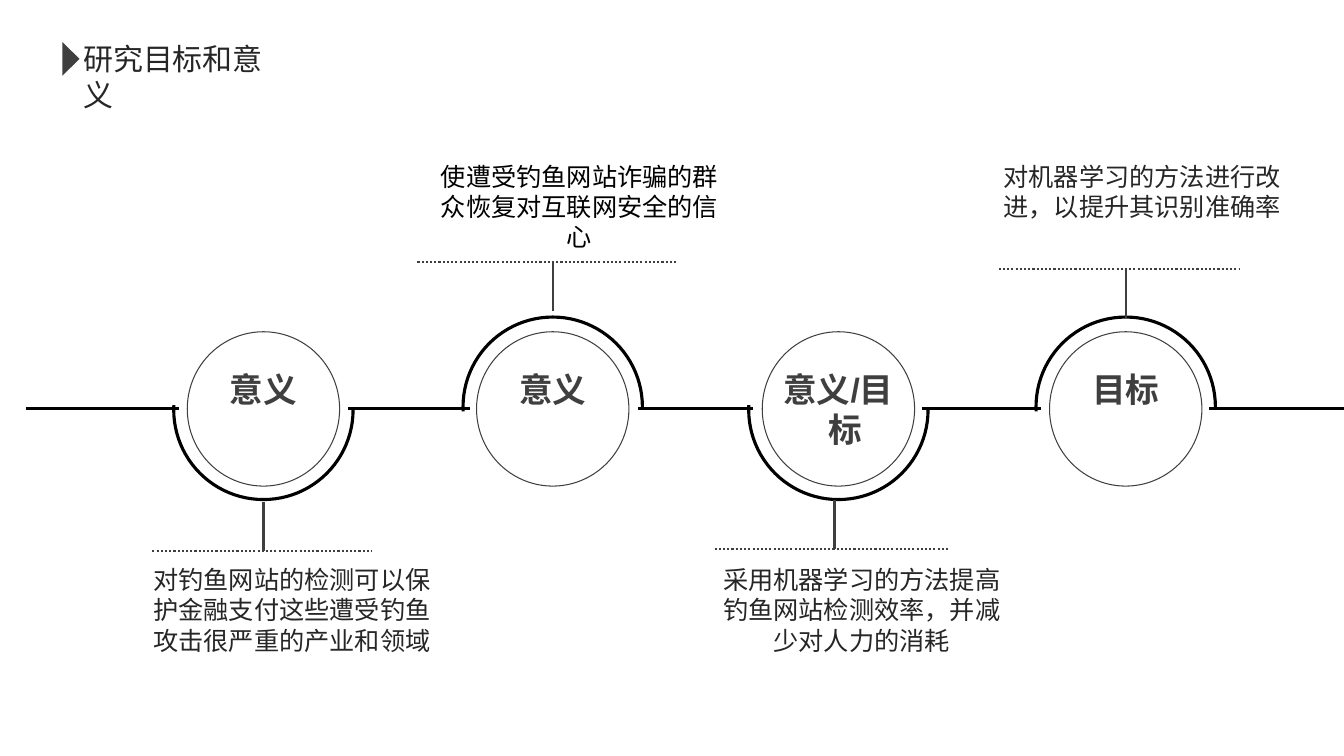
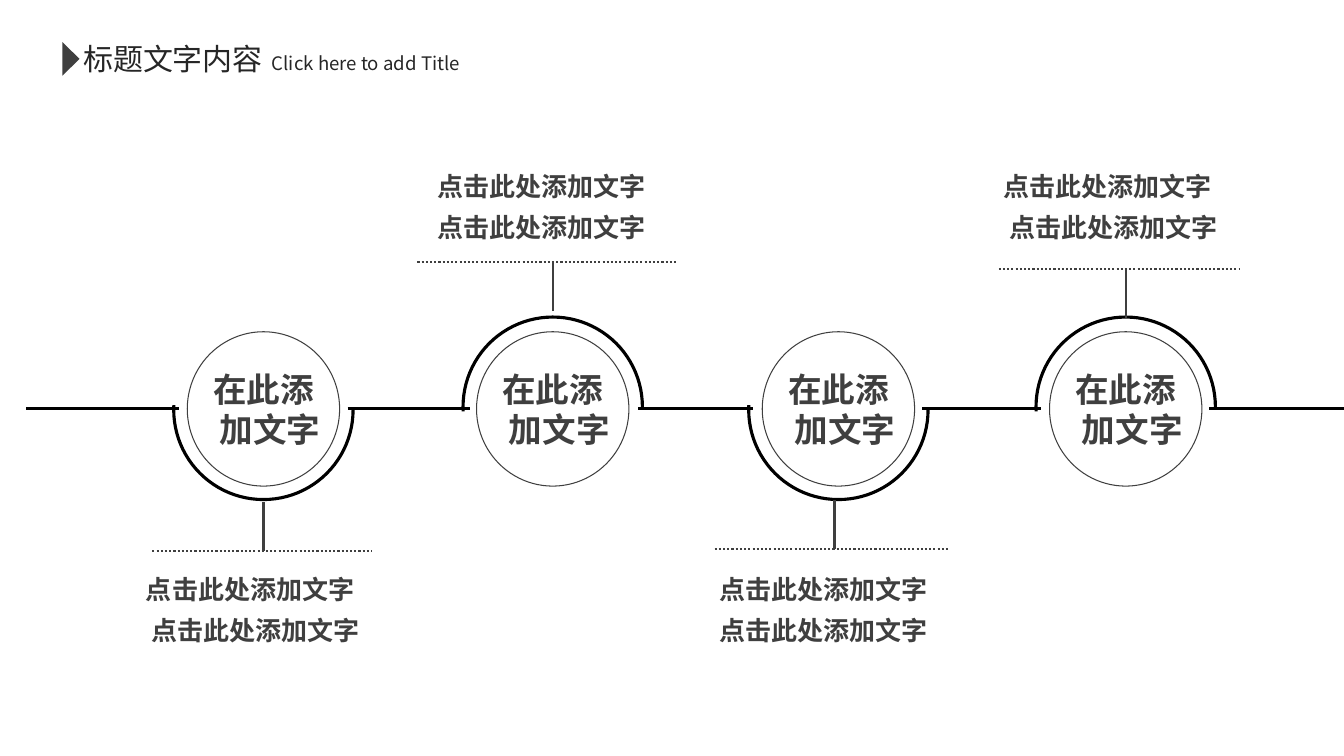
from dataclasses import dataclass

from lxml.etree import SubElement
from pptx import Presentation
from pptx.dml.color import RGBColor
from pptx.enum.dml import MSO_LINE_DASH_STYLE as Dash
from pptx.enum.shapes import MSO_CONNECTOR as Connector, MSO_SHAPE as Preset
from pptx.enum.text import PP_ALIGN as Align
from pptx.oxml.ns import qn
from pptx.slide import Slide
from pptx.util import Cm, Pt


# Theme
@dataclass(frozen=True)
class Theme:
    paper: RGBColor = RGBColor(0xFF, 0xFF, 0xFF)
    black: RGBColor = RGBColor(0, 0, 0)
    dark: RGBColor = RGBColor(0x26, 0x26, 0x26)
    grey: RGBColor = RGBColor(0x3F, 0x3F, 0x3F)
    latin: str = "Arial"
    chinese: str = "Noto Sans CJK SC"
    title_size: float = 21.4
    subtitle_size: float = 13.3
    label_size: float = 24
    caption_size: float = 18
    prompt_size: float = 18.6
    thin: float = 0.75
    medium: float = 1.5
    thick: float = 2.25


THEME = Theme()


# Content records, lengths in centimetres
@dataclass(frozen=True)
class TextStyle:
    size: float
    color: RGBColor
    font: str = THEME.chinese
    bold: bool = False
    align: Align = Align.LEFT
    line_spacing: float = 1.0
    hanging: float = 0


@dataclass(frozen=True)
class Line:
    text: str
    indent: float = 0


@dataclass(frozen=True)
class Node:
    center: float
    upper: bool
    stem: float
    bar_y: float
    bar_left: float
    bar_right: float
    caption_left: float


@dataclass(frozen=True)
class Entry:
    label: str
    caption: tuple[Line, ...]
    style: TextStyle


@dataclass(frozen=True)
class Page:
    title: str
    subtitle: str
    entries: tuple[Entry, ...]


# Timeline geometry
SLIDE_WIDTH, SLIDE_HEIGHT = 33.87, 19.05
RAIL_Y = 10.29
RAILS = ((0.66, 4.5), (8.76, 11.84), (16.08, 18.97), (23.24, 26.24), (30.48, 33.86))
NODES = (
    Node(6.64, False, 6.64, 13.89, 3.84, 9.37, 3.43),
    Node(13.93, True, 13.93, 6.6, 10.52, 17.07, 10.77),
    Node(21.13, False, 21.03, 13.84, 18.01, 23.9, 17.88),
    Node(28.37, True, 28.37, 6.78, 25.17, 31.22, 25.04),
)
CIRCLE_WIDTH, CIRCLE_HEIGHT, CIRCLE_TOP = 3.84, 3.89, 8.36
ARC_RADIUS, ARC_SHIFT, STEM = 2.26, 0.04, 1.24
LABEL_WIDTH, LABEL_TOP = 3.86, 9.17
CAPTION_WIDTH, UPPER_CAPTION, LOWER_CAPTION = 7.67, 3.94, 14.1
ARC_UNITS_PER_DEGREE = 0.6

# Text styles
TITLE = TextStyle(THEME.title_size, THEME.dark)
SUBTITLE = TextStyle(THEME.subtitle_size, THEME.dark)
LABEL = TextStyle(THEME.label_size, THEME.grey, THEME.latin, True, Align.CENTER, hanging=0.33)
PROMPT = TextStyle(THEME.prompt_size, THEME.grey, THEME.latin, True, line_spacing=1.3)


def caption_style(align: Align, color: RGBColor = THEME.dark,
                  font: str = THEME.chinese) -> TextStyle:
    return TextStyle(THEME.caption_size, color, font, align=align)


def prompt_entry(second_indent: float = 0) -> Entry:
    prompt = "点击此处添加文字"
    return Entry("在此添加文字", (Line(prompt), Line(prompt, second_indent)), PROMPT)


PAGES = (
    Page("研究目标和意义", "", (
        Entry("意义", (Line("对钓鱼网站的检测可以保护金融支付这些遭受钓鱼攻击很严重的产业和领域"),),
              caption_style(Align.RIGHT)),
        Entry("意义", (Line("使遭受钓鱼网站诈骗的群众恢复对互联网安全的信心"),),
              caption_style(Align.CENTER, THEME.black, THEME.latin)),
        Entry("意义/目标", (Line("采用机器学习的方法提高钓鱼网站检测效率，并减少对人力的消耗"),),
              caption_style(Align.CENTER)),
        Entry("目标", (Line("对机器学习的方法进行改进，以提升其识别准确率"),),
              caption_style(Align.LEFT)),
    )),
    Page("标题文字内容", "Click here to add Title",
         (prompt_entry(0.14), prompt_entry(), prompt_entry(), prompt_entry(0.14))),
)


# Drawing helpers
def add_text(slide: Slide, left: float, top: float, width: float, height: float,
             lines: tuple[Line, ...], style: TextStyle, wrap: bool = True) -> None:
    box = slide.shapes.add_textbox(Cm(left), Cm(top), Cm(width), Cm(height))
    frame = box.text_frame
    frame.word_wrap = wrap
    for index, line in enumerate(lines):
        paragraph = frame.paragraphs[0] if index == 0 else frame.add_paragraph()
        paragraph.alignment = style.align
        paragraph.line_spacing = style.line_spacing
        properties = paragraph._p.get_or_add_pPr()
        properties.set("marL", str(Cm(style.hanging + line.indent)))
        properties.set("indent", str(Cm(-style.hanging)))
        run = paragraph.add_run()
        run.text = line.text
        run.font.name = style.font
        run.font.size = Pt(style.size)
        run.font.bold = style.bold
        run.font.color.rgb = style.color
        east_asian = SubElement(run._r.get_or_add_rPr(), qn("a:ea"))
        east_asian.set("typeface", THEME.chinese)


def add_line(slide: Slide, start: tuple[float, float], end: tuple[float, float],
             color: RGBColor, weight: float, dotted: bool = False) -> None:
    connector = slide.shapes.add_connector(
        Connector.STRAIGHT, Cm(start[0]), Cm(start[1]), Cm(end[0]), Cm(end[1]))
    connector.line.color.rgb = color
    connector.line.width = Pt(weight)
    if dotted:
        connector.line.dash_style = Dash.ROUND_DOT
    SubElement(connector._element.spPr, qn("a:effectLst"))


def add_outline(slide: Slide, preset: Preset, center: tuple[float, float],
                size: tuple[float, float], color: RGBColor, weight: float,
                angles: tuple[float, ...] = ()) -> None:
    shape = slide.shapes.add_shape(
        preset, Cm(center[0] - size[0] / 2), Cm(center[1] - size[1] / 2),
        Cm(size[0]), Cm(size[1]))
    shape.shadow.inherit = False
    shape.fill.background()
    shape.line.color.rgb = color
    shape.line.width = Pt(weight)
    for index, angle in enumerate(angles):
        shape.adjustments[index] = angle * ARC_UNITS_PER_DEGREE


# Slide parts
def add_header(slide: Slide, page: Page) -> None:
    add_text(slide, 1.85, 0.89, 5.08, 1.15, (Line(page.title),), TITLE)
    marker = slide.shapes.add_shape(
        Preset.ISOSCELES_TRIANGLE, Cm(1.37), Cm(1.27), Cm(0.84), Cm(0.43))
    marker.rotation = 90
    marker.shadow.inherit = False
    marker.fill.solid()
    marker.fill.fore_color.rgb = THEME.grey
    marker.line.fill.background()
    if page.subtitle:
        add_text(slide, 6.6, 1.19, 5.6, 0.84, (Line(page.subtitle),), SUBTITLE, wrap=False)


def add_node(slide: Slide, node: Node, entry: Entry) -> None:
    # Half ring and circle
    side = -1 if node.upper else 1
    angles = (177, 1) if node.upper else (359, 183)
    add_outline(slide, Preset.ARC, (node.center, RAIL_Y + side * ARC_SHIFT),
                (2 * ARC_RADIUS, 2 * ARC_RADIUS), THEME.black, THEME.thick, angles)
    add_outline(slide, Preset.OVAL, (node.center, CIRCLE_TOP + CIRCLE_HEIGHT / 2),
                (CIRCLE_WIDTH, CIRCLE_HEIGHT), THEME.grey, THEME.thin)
    add_text(slide, node.center - LABEL_WIDTH / 2, LABEL_TOP, LABEL_WIDTH, 2.3,
             (Line(entry.label),), LABEL)
    # Stem, dotted bar and caption
    add_line(slide, (node.stem, node.bar_y - side * STEM), (node.stem, node.bar_y),
             THEME.grey, THEME.medium)
    add_line(slide, (node.bar_left, node.bar_y), (node.bar_right, node.bar_y),
             THEME.grey, THEME.medium, dotted=True)
    caption_top = UPPER_CAPTION if node.upper else LOWER_CAPTION
    add_text(slide, node.caption_left, caption_top, CAPTION_WIDTH, 2.54,
             entry.caption, entry.style)


def add_page(presentation: Presentation, page: Page) -> None:
    slide = presentation.slides.add_slide(presentation.slide_layouts[6])
    slide.background.fill.solid()
    slide.background.fill.fore_color.rgb = THEME.paper
    for left, right in RAILS:
        add_line(slide, (left, RAIL_Y), (right, RAIL_Y), THEME.black, THEME.thick)
    for node, entry in zip(NODES, page.entries):
        add_node(slide, node, entry)
    add_header(slide, page)


def main() -> None:
    presentation = Presentation()
    presentation.slide_width = Cm(SLIDE_WIDTH)
    presentation.slide_height = Cm(SLIDE_HEIGHT)
    for page in PAGES:
        add_page(presentation, page)
    presentation.save("out.pptx")


if __name__ == "__main__":
    main()
